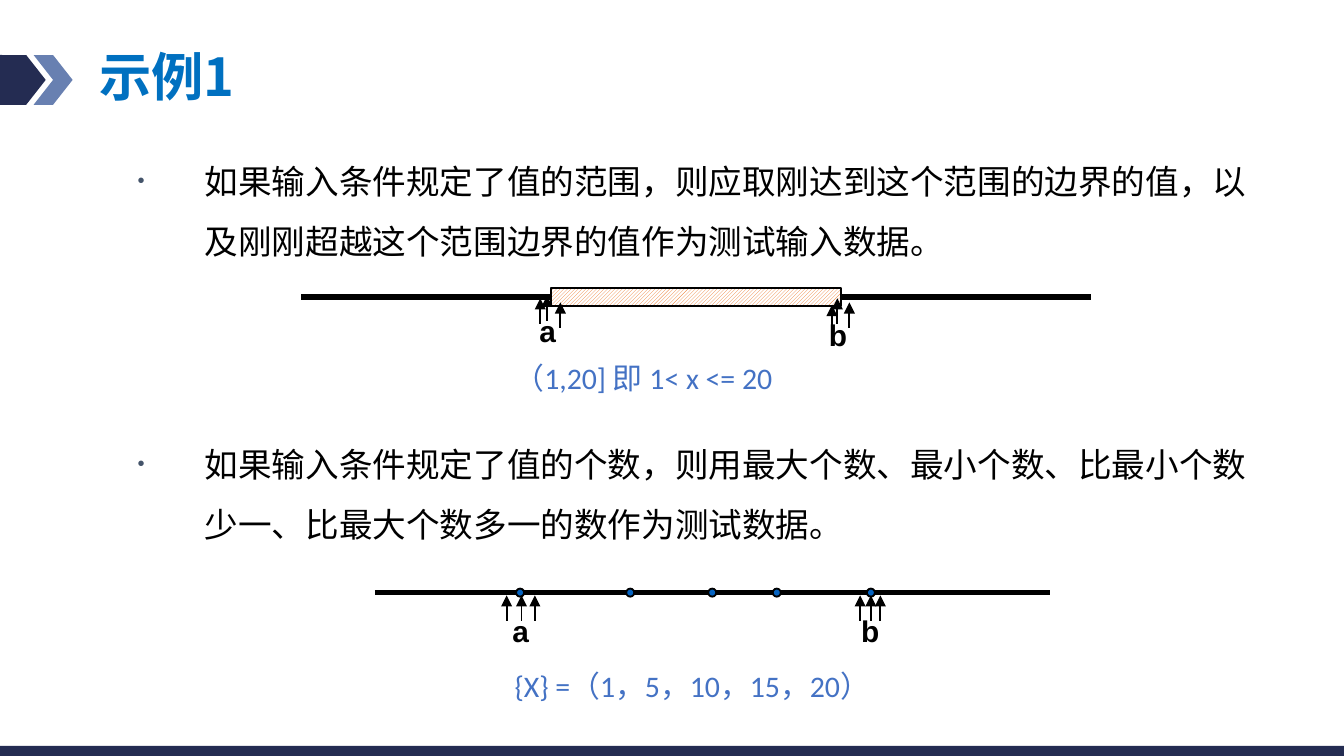
import pptx
import pptx.util
import pptx.dml.color
import pptx.enum.dml
import pptx.enum.shapes
import pptx.enum.text
import pptx.oxml.ns
from lxml import etree

RGBColor = pptx.dml.color.RGBColor
MSO = pptx.enum.shapes.MSO_SHAPE
ALIGN = pptx.enum.text.PP_ALIGN
ANCHOR = pptx.enum.text.MSO_ANCHOR
Pt = pptx.util.Pt
qn = pptx.oxml.ns.qn

NAVY = RGBColor(0x24, 0x2C, 0x52)
STEEL = RGBColor(0x68, 0x80, 0xB1)
TITLE_BLUE = RGBColor(0x00, 0x70, 0xC0)
DOT_BLUE = RGBColor(0x05, 0x63, 0xC1)
FORMULA_BLUE = RGBColor(0x44, 0x72, 0xC4)
BULLET_GREY = RGBColor(0x44, 0x54, 0x6A)
ORANGE = RGBColor(0xED, 0x7D, 0x31)
BLACK = RGBColor(0, 0, 0)
WHITE = RGBColor(255, 255, 255)

prs = pptx.Presentation()
prs.slide_width = pptx.util.Inches(10)
prs.slide_height = prs.slide_width * 9 // 16
COL = prs.slide_width / 100
ROW = prs.slide_height / 56.25
s = prs.slides.add_slide(prs.slide_layouts[6])


def add_shape(kind, x, y, w, h, fill, outlined=False):
    sp = s.shapes.add_shape(kind, int(x * COL), int(y * ROW), int(w * COL), int(h * ROW))
    sp.shadow.inherit = False
    sp.fill.solid()
    sp.fill.fore_color.rgb = fill
    if outlined:
        sp.line.color.rgb = BLACK
        sp.line.width = Pt(1)
    else:
        sp.line.fill.background()
    return sp


def add_line(x1, y1, x2, y2, width, arrow=False):
    ln = s.shapes.add_connector(pptx.enum.shapes.MSO_CONNECTOR.STRAIGHT,
                                int(x1 * COL), int(y1 * ROW), int(x2 * COL), int(y2 * ROW))
    ln.line.color.rgb = BLACK
    ln.line.width = Pt(width)
    spPr = ln._element.spPr
    if arrow:
        etree.SubElement(spPr.find(qn("a:ln")), qn("a:headEnd"), type="triangle")
    etree.SubElement(spPr, qn("a:effectLst"))


tab = add_shape(MSO.ROUNDED_RECTANGLE, -1.5, 4.1, 3.5, 3.7, NAVY)
tab.adjustments[0] = 0.1
add_shape(MSO.CHEVRON, 2.5, 4.1, 2.9, 3.7, STEEL)
add_shape(MSO.CHEVRON, 0.5, 4.1, 2.9, 3.7, NAVY)
add_shape(MSO.RECTANGLE, 0, 55.5, 100, 1.3, NAVY)

add_line(22.4, 22.1, 81.2, 22.1, 3)
interval = add_shape(MSO.RECTANGLE, 41, 21.4, 21.6, 1.4, WHITE, outlined=True)
interval.fill.patterned()
interval.fill.pattern = pptx.enum.dml.MSO_PATTERN.LIGHT_UPWARD_DIAGONAL
interval.fill.fore_color.rgb = ORANGE
interval.fill.back_color.rgb = WHITE

add_line(27.9, 44.1, 78.1, 44.1, 3)
for x in (38.4, 46.6, 52.7, 57.5, 64.5):
    add_shape(MSO.OVAL, x, 43.8, 0.6, 0.6, DOT_BLUE, outlined=True)

range_arrows = [(40.2, 22.2), (40.7, 22), (41.7, 22.5), (61.9, 22.7), (62.3, 22.2), (63.2, 22.5)]
count_arrows = [(x, 44.3) for x in (37.7, 38.8, 39.8, 64, 64.8, 65.5)]
for x, y in range_arrows + count_arrows:
    add_line(x, y, x, y + 1.9, 1, arrow=True)

texts = [
    (["示例1"], 6.4, 3.1, 80.5, 5.7, 28, "Noto Sans CJK SC", "Noto Sans CJK SC", TITLE_BLUE, True),
    (["如果输入条件规定了值的范围，则应取刚达到这个范围的边界的值，以及刚刚超越这个范围边界的值作为测试输入数据。",
      "如果输入条件规定了值的个数，则用最大个数、最小个数、比最小个数少一、比最大个数多一的数作为测试数据。"],
     9.25, 9.95, 85.1, 25.7, 18, "Arial", "Calibri", BLACK, False),
    (["{X} =（1，5，10，15，20）"], 37.3, 49.2, 28.5, 3.7, 16, "Calibri", "Calibri", FORMULA_BLUE, False),
    (["（1,20] 即 1< x <= 20"], 37.3, 26.3, 22.2, 3.7, 16, "Calibri", "Calibri", FORMULA_BLUE, False),
]
for label, x, y in (("a", 39.1, 22.8), ("b", 60.7, 23.1), ("a", 37.1, 45.1), ("b", 63.1, 45.1)):
    texts.append(([label], x, y, 3.3, 3.7, 16, "Arial", "Arial", BLACK, True))

for lines, x, y, w, h, size, latin, east, color, bold in texts:
    tf = s.shapes.add_textbox(int(x * COL), int(y * ROW), int(w * COL), int(h * ROW)).text_frame
    tf.word_wrap = lines[0] not in ("a", "b")
    tf.text = "\n".join(lines)
    for i, p in enumerate(tf.paragraphs):
        if size == 28:
            tf.vertical_anchor = ANCHOR.MIDDLE
            p.line_spacing = 0.9
        if not tf.word_wrap:
            p.alignment = ALIGN.CENTER
        if len(lines) > 1:
            pPr = p._p.get_or_add_pPr()
            pPr.set("marL", str(int(5 * COL)))
            pPr.set("indent", str(int(-5 * COL)))
            clr = etree.SubElement(pPr, qn("a:buClr"))
            etree.SubElement(clr, qn("a:srgbClr"), val=str(BULLET_GREY))
            etree.SubElement(pPr, qn("a:buSzPct"), val="60000")
            etree.SubElement(pPr, qn("a:buFont"), typeface="Arial")
            etree.SubElement(pPr, qn("a:buChar"), char="•")
            p.line_spacing = 1.5
            p.space_before = Pt(87 * i)
        for r in p.runs:
            r.font.size = Pt(size)
            r.font.name = latin
            r.font.bold = bold
            r.font.color.rgb = color
            etree.SubElement(r._r.get_or_add_rPr(), qn("a:ea"), typeface=east)

prs.save("out.pptx")
